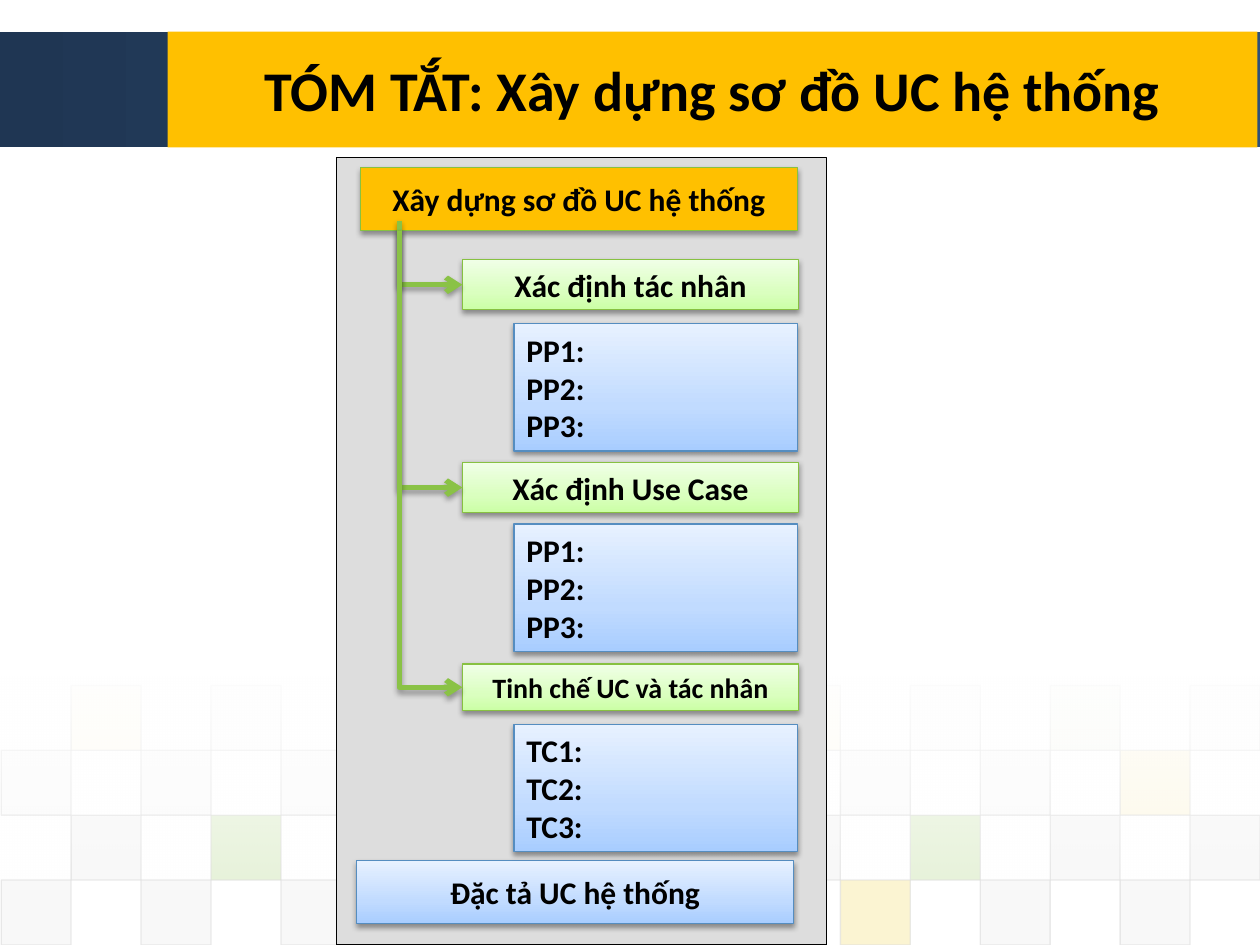
import pptx
import pptx.dml.color
import pptx.enum.shapes
import pptx.enum.text
import pptx.oxml
import pptx.oxml.ns
import pptx.util

COLUMNS, ROWS = 100, 75
COLORS = {
    "black": "000000", "white": "FFFFFF", "gold": "FFC000", "panel": "DDDDDD",
    "navy": "1F3653", "steel": "2E507A", "green": "8AC246",
    "green edge": "87C141", "blue edge": "558DC0",
    "gray": "DDDDDD", "pale": "EAEAEA", "yellow": "EFC821",
}
GREEN_FADE = [(0, "CBFFA5", 100), (35, "DAFFBF", 100), (100, "F0FFE7", 100)]
BLUE_FADE = [(0, "A8CDFF", 100), (35, "C1DBFF", 100), (100, "E7F1FF", 100)]
BAND_FADE = [(0, COLORS["navy"], 100), (100, COLORS["steel"], 100)]
VEIL_FADE = [(0, COLORS["white"], 90), (100, COLORS["white"], 0)]
TILE_ROWS = [
    (5, {1: "yellow", 3: "pale", 11: "yellow", 13: "pale", 15: "green", 17: "pale"}),
    (10, {0: "gray", 2: "gray", 4: "gray", 12: "gray", 14: "gray", 16: "yellow"}),
    (20, {1: "gray", 3: "green", 11: "gray", 13: "green", 15: "gray", 17: "gray"}),
    (20, {0: "gray", 2: "gray", 4: "gray", 6: "yellow", 8: "gray", 10: "gray",
          12: "yellow", 14: "gray", 16: "gray"}),
]
STEPS = [
    ("Xác định tác nhân", 18, 20.6, 4, 17.5, 25.7, ["PP1:", "PP2:", "PP3:"]),
    ("Xác định Use Case", 18, 36.7, 4, 18.3, 41.6, ["PP1:", "PP2:", "PP3:"]),
    ("Tinh chế UC và tác nhân", 16, 52.7, 3.7, 18.3, 57.5, ["TC1:", "TC2:", "TC3:"]),
]


def xml(tag, body="", **attributes):
    """Return a DrawingML element as a string."""
    pairs = "".join(f' {name}="{value}"' for name, value in attributes.items())
    return f'<a:{tag} {pptx.oxml.ns.nsdecls("a")}{pairs}>{body}</a:{tag}>'


def color_xml(color, opacity=100):
    """Return a colour with its opacity in percent."""
    return xml("srgbClr", xml("alpha", val=opacity * 1000), val=color)


class Deck:
    """Holds the style and the current slide, and draws each kind of element."""

    def __init__(self, font="Calibri"):
        """Open a title-only slide."""
        self.font = font
        self.deck = pptx.Presentation()
        self.deck.slide_width = pptx.util.Inches(10)
        self.deck.slide_height = pptx.util.Inches(7.5)
        self.slide = self.deck.slides.add_slide(self.deck.slide_layouts[5])

    def x(self, columns):
        """Convert grid columns to a length."""
        return round(self.deck.slide_width * columns / COLUMNS)

    def y(self, rows):
        """Convert grid rows to a length."""
        return round(self.deck.slide_height * rows / ROWS)

    def set_text(self, shape, lines, size, centered=True):
        """Put bold black lines into a shape."""
        frame = shape.text_frame
        frame.text = "\n".join(lines)
        frame.word_wrap = True
        frame.auto_size = pptx.enum.text.MSO_AUTO_SIZE.NONE
        frame.vertical_anchor = pptx.enum.text.MSO_ANCHOR.MIDDLE
        align = pptx.enum.text.PP_ALIGN
        for paragraph in frame.paragraphs:
            paragraph.alignment = align.CENTER if centered else align.LEFT
            paragraph.font.name = self.font
            paragraph.font.size = pptx.util.Pt(size)
            paragraph.font.bold = True
            paragraph.font.color.rgb = pptx.dml.color.RGBColor.from_string(COLORS["black"])

    def title(self, text, left, top, width, height):
        """Place and format the title placeholder above what is drawn so far."""
        title = self.slide.shapes.title
        title.left, title.top = self.x(left), self.y(top)
        title.width, title.height = self.x(width), self.y(height)
        title.fill.solid()
        title.fill.fore_color.rgb = pptx.dml.color.RGBColor.from_string(COLORS["gold"])
        self.set_text(title, [text], 32)
        self.slide.shapes._spTree.append(title._element)

    def box(self, left, top, width, height, fill, opacity=100, angle=270,
            edge=None, edge_opacity=100):
        """Draw a rectangle with a plain colour or a list of gradient stops."""
        shape = self.slide.shapes.add_shape(
            pptx.enum.shapes.MSO_SHAPE.RECTANGLE,
            self.x(left), self.y(top), self.x(width), self.y(height))
        shape.shadow.inherit = False
        if isinstance(fill, list):
            stops = "".join(xml("gs", color_xml(color, alpha), pos=place * 1000)
                            for place, color, alpha in fill)
            paint = xml("gradFill", xml("gsLst", stops)
                        + xml("lin", ang=angle * 60000, scaled=0), rotWithShape=1)
        else:
            paint = xml("solidFill", color_xml(COLORS[fill], opacity))
        geometry = shape._element.spPr.find(pptx.oxml.ns.qn("a:prstGeom"))
        geometry.addnext(pptx.oxml.parse_xml(paint))
        if edge:
            shape.line.width = pptx.util.Pt(0.75)
            shape.line._get_or_add_ln().insert(0, pptx.oxml.parse_xml(
                xml("solidFill", color_xml(COLORS[edge], edge_opacity))))
        else:
            shape.line.fill.background()
        return shape

    def shade(self, shape, opacity, distance):
        """Drop a soft shadow straight below a shape or connector."""
        properties = shape._element.spPr
        for effects in properties.findall(pptx.oxml.ns.qn("a:effectLst")):
            properties.remove(effects)
        properties.append(pptx.oxml.parse_xml(xml("effectLst", xml(
            "outerShdw", color_xml(COLORS["black"], opacity), blurRad=40000,
            dist=distance, dir=5400000, rotWithShape=0))))

    def label(self, lines, left, top, width, height, fill, edge, size=18, centered=True):
        """Draw a shadowed box with text."""
        shape = self.box(left, top, width, height, fill, edge=edge)
        self.shade(shape, 38, 20000)
        self.set_text(shape, lines, size, centered)

    def branch(self, left, top, right, bottom):
        """Draw an arrow that runs down and then right."""
        middle_x, middle_y = self.x(left + right) / 2, self.y(top + bottom) / 2
        drop, run = self.y(bottom - top) / 2, self.x(right - left) / 2
        arrow = self.slide.shapes.add_connector(
            pptx.enum.shapes.MSO_CONNECTOR.ELBOW,
            round(middle_x + drop), round(middle_y - run),
            round(middle_x - drop), round(middle_y + run))
        properties = arrow._element.spPr
        properties.find(pptx.oxml.ns.qn("a:xfrm")).set("rot", str(270 * 60000))
        properties.find(pptx.oxml.ns.qn("a:prstGeom")).set("prst", "bentConnector2")
        arrow.line.width = pptx.util.Pt(3)
        arrow.line.color.rgb = pptx.dml.color.RGBColor.from_string(COLORS["green"])
        arrow.line._get_or_add_ln().append(pptx.oxml.parse_xml(xml("tailEnd", type="arrow")))
        self.shade(arrow, 35, 23000)

    def tiles(self):
        """Draw the checkered floor and the veil that fades it out."""
        for row, (opacity, colors) in enumerate(TILE_ROWS):
            for column, color in colors.items():
                self.box(0.1 + 5.55 * column, 54.4 + 5.15 * row, 5.55, 5.15, color,
                         opacity, edge="gray", edge_opacity=60)
        self.box(0, 53.7, 100, 16.2, VEIL_FADE, angle=90)


def main():
    """Build the slide and save it."""
    page = Deck()
    page.box(0, 2.5, 100, 9.2, BAND_FADE, angle=0)
    page.tiles()
    page.box(26.7, 12.5, 38.9, 62.5, "panel", edge="black")
    page.label(["Xây dựng sơ đồ UC hệ thống"], 28.6, 13.3, 34.7, 5, "gold", "green edge")
    page.label(["Đặc tả UC hệ thống"], 28.3, 68.3, 34.7, 5, BLUE_FADE, "blue edge")
    page.title("TÓM TẮT: Xây dựng sơ đồ UC hệ thống", 13.3, 2.5, 86.5, 9.2)
    for step, size, top, height, _, details_top, details in STEPS:
        page.label([step], 36.7, top, 26.7, height, GREEN_FADE, "green edge", size)
        page.label(details, 40.8, details_top, 22.5, 10.1, BLUE_FADE, "blue edge",
                   centered=False)
    for _, _, top, height, start, _, _ in STEPS:
        page.branch(31.7, start, 36.7, top + height / 2)
    page.deck.save("out.pptx")


if __name__ == "__main__":
    main()
